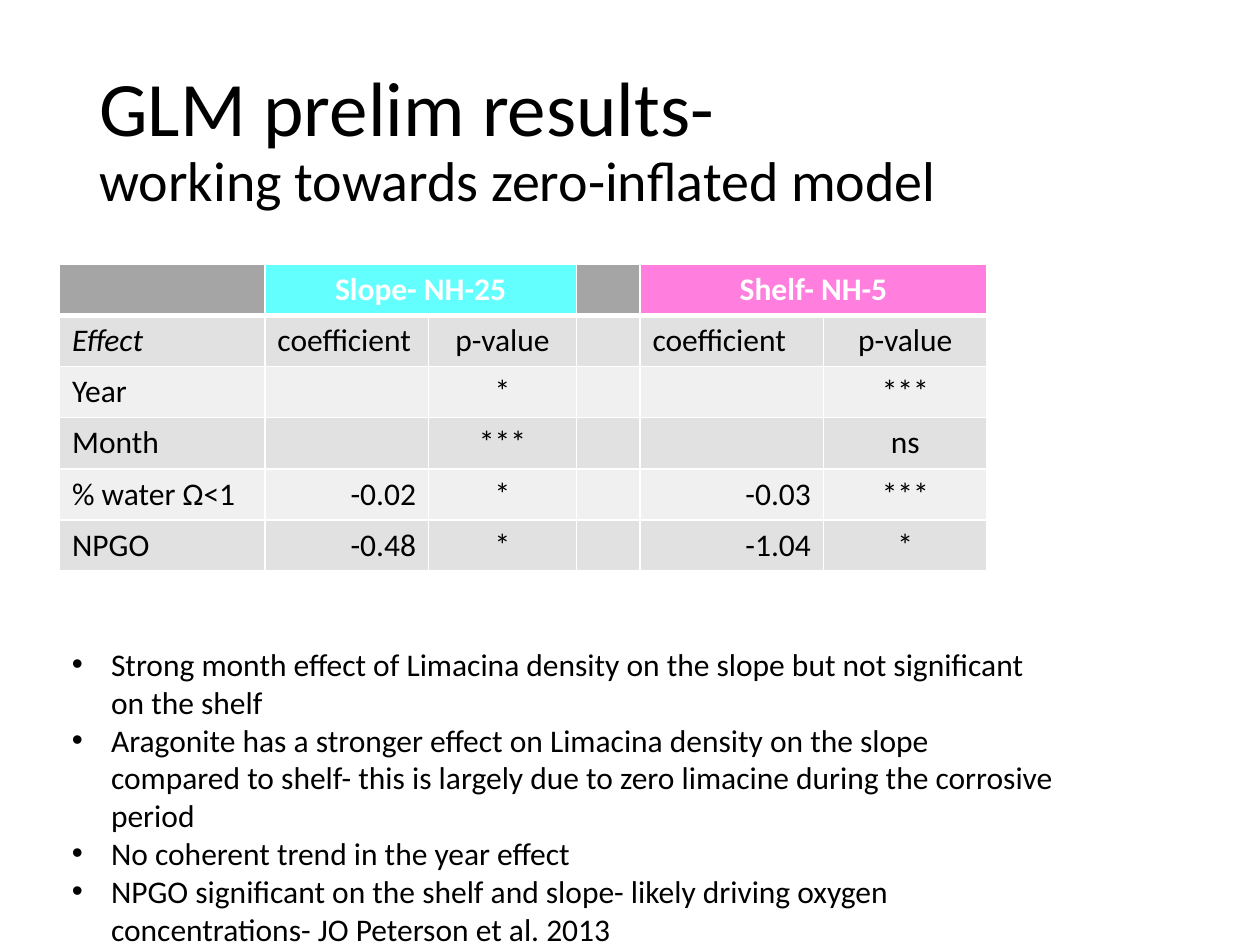
from lxml.etree import SubElement
from pptx import Presentation
from pptx.dml.color import RGBColor
from pptx.enum.text import MSO_ANCHOR, MSO_AUTO_SIZE, PP_ALIGN
from pptx.oxml import parse_xml
from pptx.oxml.ns import nsdecls, qn
from pptx.util import Cm, Pt

LEFT, MID, RIGHT = PP_ALIGN.LEFT, PP_ALIGN.CENTER, PP_ALIGN.RIGHT


def paint(text):
    return RGBColor.from_string(text)


class Deck:
    face = "Calibri"
    size = 18
    ink = "000000"
    white = "FFFFFF"
    bands = ("E1E1E1", "F0F0F0")

    def __init__(self, wide, high):
        self.prs = Presentation()
        self.prs.slide_width, self.prs.slide_height = wide, high
        self.slide = self.prs.slides.add_slide(self.prs.slide_layouts[5])

    def style(self, font, size=None, color=None):
        font.name = self.face
        font.size = Pt(size or self.size)
        font.color.rgb = paint(color or self.ink)

    def title(self, lines, sizes, box):
        shape = self.slide.shapes.title
        shape.left, shape.top, shape.width, shape.height = box
        frame = shape.text_frame
        frame.text = "\v".join(lines)
        frame.word_wrap = True
        frame.auto_size = MSO_AUTO_SIZE.NONE
        frame.vertical_anchor = MSO_ANCHOR.MIDDLE
        para = frame.paragraphs[0]
        para.alignment = LEFT
        para.line_spacing = 0.9
        for run, size in zip(para.runs, sizes):
            self.style(run.font, size)

    def bullets(self, items, box, indent):
        frame = self.slide.shapes.add_textbox(*box).text_frame
        frame.word_wrap = True
        frame.text = "\n".join(items)
        for para in frame.paragraphs:
            props = para._p.get_or_add_pPr()
            props.set("marL", str(indent))
            props.set("indent", str(-indent))
            SubElement(props, qn("a:buFont")).set("typeface", "Arial")
            SubElement(props, qn("a:buChar")).set("char", "•")
            for run in para.runs:
                self.style(run.font)

    def fill(self, cell, color, alpha=None):
        cell.fill.solid()
        cell.fill.fore_color.rgb = paint(color)
        if alpha:
            tone = cell._tc.tcPr.find(".//" + qn("a:srgbClr"))
            SubElement(tone, qn("a:alpha")).set("val", str(alpha * 1000))

    def border(self, cell, base, top=1):
        """Draw white rules, given the points of the base and top ones."""
        props = cell._tc.get_or_add_tcPr()
        for spot, (side, width) in enumerate(zip("LRTB", (1, 1, top, base))):
            props.insert(spot, parse_xml(
                f'<a:ln{side} {nsdecls("a")} w="{Pt(width)}"><a:solidFill>'
                f'<a:srgbClr val="{self.white}"/></a:solidFill></a:ln{side}>'))

    def table(self, rows, heads, aligns, widths, left, top, high):
        """Build a table whose heads are (text, fill, alpha, span)."""
        grid = self.slide.shapes.add_table(
            len(rows) + 1, len(widths), left, top, sum(widths),
            high * (len(rows) + 1)).table
        for col, width in zip(grid.columns, widths):
            col.width = width
        for row in grid.rows:
            row.height = high

        col = 0
        for text, color, alpha, span in heads:
            cell = grid.cell(0, col)
            if span > 1:
                cell.merge(grid.cell(0, col + span - 1))
            for part in range(col, col + span):
                self.fill(grid.cell(0, part), color, alpha)
                self.border(grid.cell(0, part), 3)
            self.label(cell, text, MID, self.white).bold = True
            col += span

        for r, row in enumerate(rows, 1):
            for c, text in enumerate(row):
                cell = grid.cell(r, c)
                self.fill(cell, self.bands[(r - 1) % 2])
                self.border(cell, 1, 3 if r == 1 else 1)
                align = LEFT if r == 1 and aligns[c] == RIGHT else aligns[c]
                font = self.label(cell, text, align)
                font.bold = False
                font.italic = (r, c) == (1, 0)

    def label(self, cell, text, align, color=None):
        """Set the text of a cell and return its font."""
        cell.text_frame.text = text
        para = cell.text_frame.paragraphs[0]
        para.alignment = align
        font = para.runs[0].font if para.runs else para.font
        self.style(font, color=color)
        return font


def main():
    deck = Deck(Cm(25.4), Cm(19.05))
    deck.title(["GLM prelim results- ", "working towards zero-inflated model"],
               (44, 32), (Cm(1.75), Cm(1.02), Cm(21.9), Cm(3.68)))

    gray = ("", "A5A5A5", None, 1)
    heads = [gray, ("Slope- NH-25", "00FFFF", 61, 2),
             gray, ("Shelf- NH-5", "FF33CC", 63, 2)]
    rows = [
        ("Effect", "coefficient", "p-value", "", "coefficient", "p-value"),
        ("Year", "", "*", "", "", "***"),
        ("Month", "", "***", "", "", "ns"),
        ("% water Ω<1", "-0.02", "*", "", "-0.03", "***"),
        ("NPGO", "-0.48", "*", "", "-1.04", "*"),
    ]
    widths = [Cm(w) for w in (4.14, 3.3, 2.98, 1.28, 3.7, 3.3)]
    deck.table(rows, heads, (LEFT, RIGHT, MID, LEFT, RIGHT, MID), widths,
               Cm(1.2), Cm(5.33), Cm(1.03))

    deck.bullets([
        "Strong month effect of Limacina density on the slope but not "
        "significant on the shelf",
        "Aragonite has a stronger effect on Limacina density on the slope "
        "compared to shelf- this is largely due to zero limacine during the "
        "corrosive period",
        "No coherent trend in the year effect",
        "NPGO significant on the shelf and slope- likely driving oxygen "
        "concentrations- JO Peterson et al. 2013",
    ], (Cm(1.2), Cm(12.88), Cm(20.47), Cm(6.4)), Cm(0.79))
    deck.prs.save("out.pptx")


if __name__ == "__main__":
    main()
